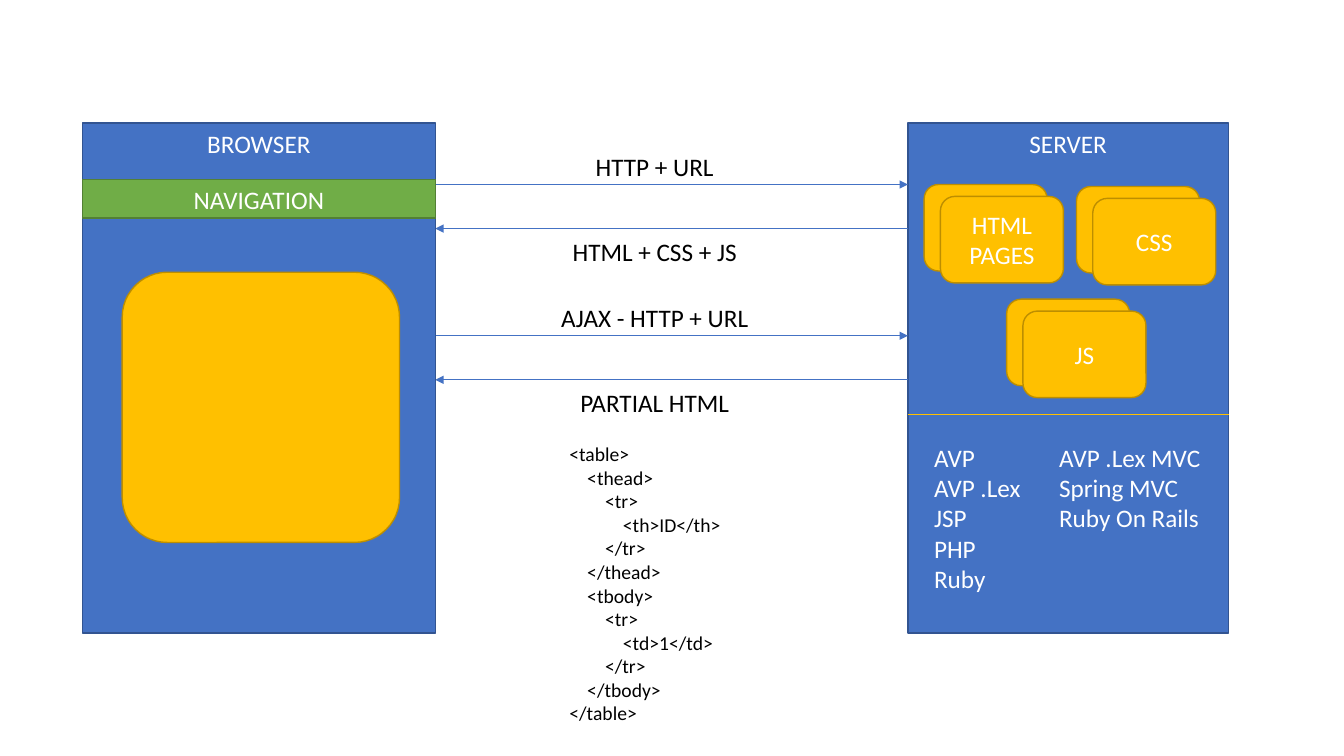
"""Builds the slide on browser and server traffic, with full pages and AJAX."""
from lxml.etree import SubElement
from pptx import Presentation
from pptx.dml.color import RGBColor
from pptx.enum.shapes import MSO_CONNECTOR, MSO_SHAPE
from pptx.enum.text import MSO_ANCHOR, PP_ALIGN
from pptx.oxml.ns import qn
from pptx.util import Cm, Pt

BLUE = RGBColor(0x44, 0x72, 0xC4)
DARK_BLUE = RGBColor(0x32, 0x54, 0x91)
GREEN = RGBColor(0x70, 0xAD, 0x47)
DARK_GREEN = RGBColor(0x53, 0x80, 0x35)
GOLD = RGBColor(0xFF, 0xC0, 0x00)
DARK_GOLD = RGBColor(0xBD, 0x8E, 0x00)
WHITE = RGBColor(0xFF, 0xFF, 0xFF)
BLACK = RGBColor(0, 0, 0)
FONT = "Calibri"

EXCHANGES = [
    (4.65, "HTTP + URL", "HTML + CSS + JS"),
    (8.46, "AJAX - HTTP + URL", "PARTIAL HTML"),
]
FILE_STACKS = [("HTML PAGES", 23.29, 4.65), ("CSS", 27.13, 4.7), ("JS", 25.37, 7.54)]
TECHNOLOGIES = [
    (23.29, 2.77, ["AVP", "AVP .Lex", "JSP", "PHP", "Ruby"]),
    (26.44, 4.52, ["AVP .Lex MVC", "Spring MVC", "Ruby On Rails"]),
]
TABLE_CODE = [
    (0, "<table>"),
    (1, "<thead>"),
    (2, "<tr>"),
    (3, "<th>ID</th>"),
    (2, "</tr>"),
    (1, "</thead>"),
    (1, "<tbody>"),
    (2, "<tr>"),
    (3, "<td>1</td>"),
    (2, "</tr>"),
    (1, "</tbody>"),
    (0, "</table>"),
]

BROWSER_LEFT, BROWSER_W = 2.08, 8.89
SERVER_LEFT, SERVER_W = 22.88, 8.08
PANEL_TOP, PANEL_H = 3.1, 12.85
BROWSER_RIGHT = BROWSER_LEFT + BROWSER_W
FILE_W, FILE_H = 3.1, 2.18
STACK_DX, STACK_DY = 0.41, 0.3
REPLY_GAP = 1.11
LABEL_LEFT, LABEL_W, LABEL_H = 13.5, 6, 1.03
LISTS_TOP = 11.02
CODE_INDENT = 0.45


def format_text(tf, size, color, align):
    for p in tf.paragraphs:
        p.alignment = align
        for r in p.runs:
            r.font.name = FONT
            r.font.size = Pt(size)
            r.font.color.rgb = color


def add_box(s, kind, left, top, width, height, fill, line, text="",
            anchor=MSO_ANCHOR.MIDDLE):
    sp = s.shapes.add_shape(kind, Cm(left), Cm(top), Cm(width), Cm(height))
    sp.shadow.inherit = False
    sp.fill.solid()
    sp.fill.fore_color.rgb = fill
    sp.line.color.rgb = line
    sp.line.width = Pt(1)
    if text:
        tf = sp.text_frame
        tf.text = text
        tf.vertical_anchor = anchor
        format_text(tf, 18, WHITE, PP_ALIGN.CENTER)


def add_text(s, left, top, width, height, lines, color,
             size=18, align=PP_ALIGN.LEFT):
    tf = s.shapes.add_textbox(Cm(left), Cm(top), Cm(width), Cm(height)).text_frame
    tf.word_wrap = True
    tf.text = "\n".join(lines)
    format_text(tf, size, color, align)
    return tf


def add_line(s, x1, x2, y, color, arrow=False):
    cn = s.shapes.add_connector(MSO_CONNECTOR.STRAIGHT, Cm(x1), Cm(y), Cm(x2), Cm(y))
    cn.line.color.rgb = color
    cn.line.width = Pt(0.5)
    if arrow:
        SubElement(cn.line._get_or_add_ln(), qn("a:tailEnd"), type="triangle")
    SubElement(cn._element.spPr, qn("a:effectLst"))


def add_browser(s):
    add_box(s, MSO_SHAPE.RECTANGLE, BROWSER_LEFT, PANEL_TOP, BROWSER_W, PANEL_H,
            BLUE, DARK_BLUE, "BROWSER", MSO_ANCHOR.TOP)
    add_box(s, MSO_SHAPE.RECTANGLE, BROWSER_LEFT, 4.53, BROWSER_W, 0.97,
            GREEN, DARK_GREEN, "NAVIGATION")
    add_box(s, MSO_SHAPE.ROUNDED_RECTANGLE, 3.08, 6.86, 6.99, 6.81, GOLD, DARK_GOLD)


def add_server(s):
    add_box(s, MSO_SHAPE.RECTANGLE, SERVER_LEFT, PANEL_TOP, SERVER_W, PANEL_H,
            BLUE, DARK_BLUE, "SERVER", MSO_ANCHOR.TOP)
    for name, left, top in FILE_STACKS:
        for i, text in enumerate(["", name]):
            add_box(s, MSO_SHAPE.ROUNDED_RECTANGLE, left + i * STACK_DX,
                    top + i * STACK_DY, FILE_W, FILE_H, GOLD, DARK_GOLD, text)
    add_line(s, SERVER_LEFT, SERVER_LEFT + SERVER_W, 10.44, GOLD)
    for left, width, names in TECHNOLOGIES:
        add_text(s, left, LISTS_TOP, width, 0.77 * len(names) + 0.25, names, WHITE)


def add_exchanges(s):
    for y, request, reply in EXCHANGES:
        reply_y = y + REPLY_GAP
        add_line(s, BROWSER_RIGHT, SERVER_LEFT, y, BLUE, arrow=True)
        add_line(s, SERVER_LEFT, BROWSER_RIGHT, reply_y, BLUE, arrow=True)
        for top, label in [(y - 0.97, request), (reply_y + 0.06, reply)]:
            add_text(s, LABEL_LEFT, top, LABEL_W, LABEL_H, [label], BLACK,
                     align=PP_ALIGN.CENTER)


def add_code(s):
    tf = add_text(s, 14.1, LISTS_TOP, 6.2, 7.44, [tag for _, tag in TABLE_CODE],
                  BLACK, size=14)
    for p, (depth, _) in zip(tf.paragraphs, TABLE_CODE):
        p._p.get_or_add_pPr().set("marL", str(Cm(depth * CODE_INDENT)))


def main():
    prs = Presentation()
    prs.slide_width, prs.slide_height = Cm(33.87), Cm(19.05)
    s = prs.slides.add_slide(prs.slide_layouts[6])
    add_server(s)
    add_exchanges(s)
    add_browser(s)
    add_code(s)
    prs.save("out.pptx")


if __name__ == "__main__":
    main()
